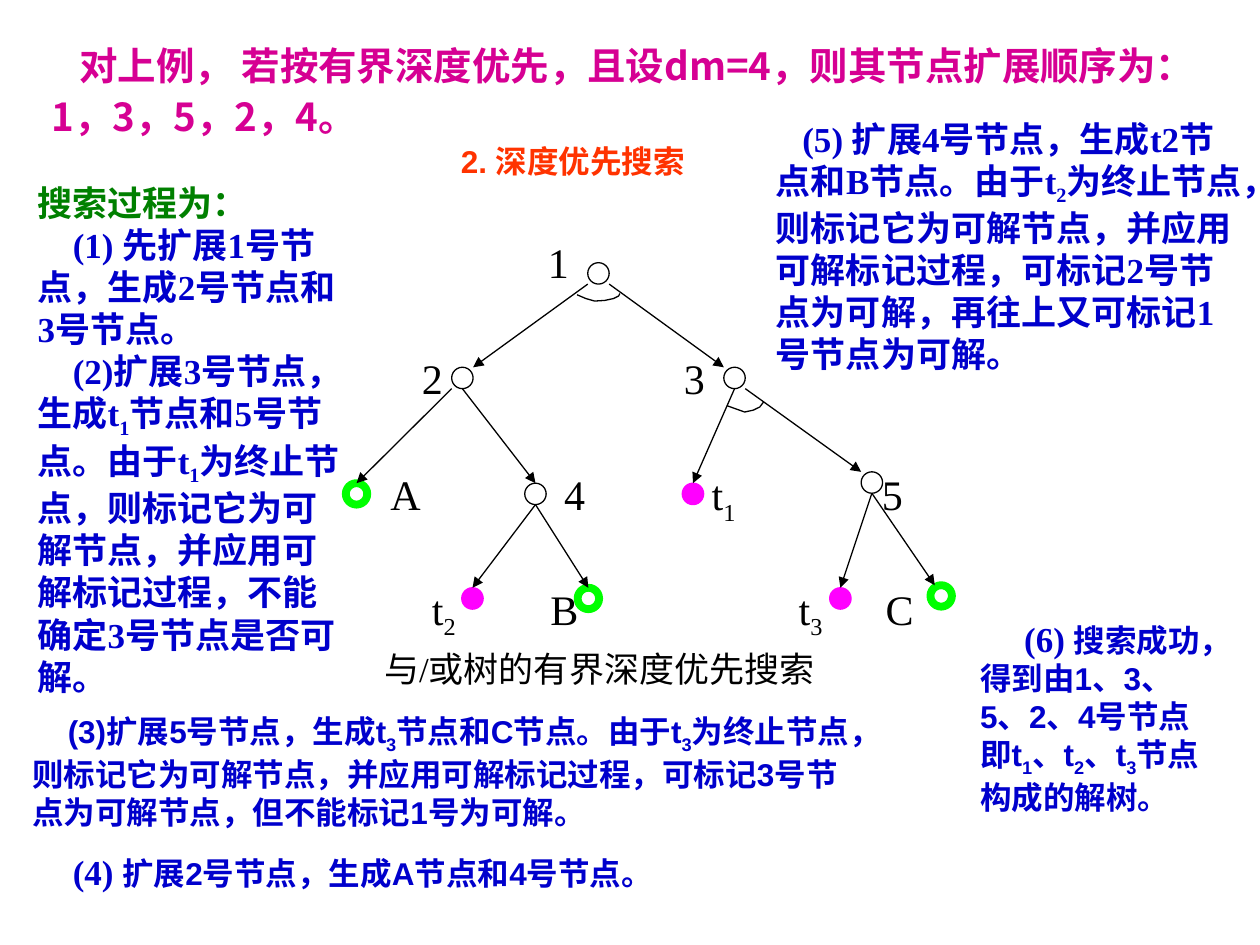
from lxml import etree
from pptx import Presentation
from pptx.dml.color import RGBColor
from pptx.enum import shapes, text
from pptx.oxml.ns import qn
from pptx.util import Inches, Pt

COLORS = {"title": "D60093", "process": "008000", "body": "0000CC", "heading": "FF3300",
          "black": "000000", "green": "00FF00", "magenta": "FF00FF"}
SERIF, SANS, CJK = "Times New Roman", "Arial", "Noto Sans CJK SC"
RADIUS = 0.085

presentation = Presentation()
presentation.slide_width, presentation.slide_height = Inches(10), Inches(7.5)
slide = presentation.slides.add_slide(presentation.slide_layouts[6])


def color(name):
    return RGBColor.from_string(COLORS[name])


def add_text(box, paragraphs, size, font=SERIF, bold=True, indent=0, spacing=None,
             number="", wrap=True):
    """Add (wording, colour) paragraphs; "_" lowers the next character.

    number is a lead-in set in 20 point serif.
    """
    shape = slide.shapes.add_textbox(*map(Inches, box))
    frame = shape.text_frame
    frame.word_wrap = wrap
    frame.auto_size = text.MSO_AUTO_SIZE.NONE
    for index, (wording, color_name) in enumerate(paragraphs):
        paragraph = frame.add_paragraph() if index else frame.paragraphs[0]
        # A heading that is followed by other paragraphs stays flush left
        if indent and (index or len(paragraphs) == 1):
            paragraph._p.get_or_add_pPr().set("indent", str(Inches(indent)))
        if spacing:
            paragraph.line_spacing = spacing
        paragraph.font.name, paragraph.font.size = font, Pt(size)
        paragraph.font.bold = bold
        paragraph.font.color.rgb = color(color_name)
        if number:
            run = paragraph.add_run()
            run.text = number
            run.font.name, run.font.size = SERIF, Pt(20)
        first, *lowered = wording.split("_")
        paragraph.add_run().text = first
        for part in lowered:
            run = paragraph.add_run()
            run.text = part[0]
            run._r.get_or_add_rPr().set("baseline", "-25000")
            if part[1:]:
                paragraph.add_run().text = part[1:]


add_text((0.31, 0.25, 9.49, 0.91),
         [("对上例， 若按有界深度优先，且设dm=4，则其节点扩展顺序为：1，3，5，2，4。", "title")],
         22, CJK, indent=0.22, spacing=1.1)

# Tree nodes: centre, line colour, line width, fill, left and top of the label
open_node, goal, dead_end = ("black", 0.75, None), ("magenta", 0.75, "magenta"), ("green", 4.5, None)
nodes = {
    "1": (4.75, 2.17, open_node, 4.25, 1.83),
    "2": (3.67, 3.0, open_node, 3.25, 2.75),
    "3": (5.83, 3.0, open_node, 5.33, 2.75),
    "4": (4.25, 3.92, open_node, 4.38, 3.67),
    "A": (2.83, 3.92, dead_end, 3.0, 3.67),
    "t_1": (5.5, 3.92, goal, 5.55, 3.67),
    "5": (6.92, 3.83, open_node, 6.9, 3.67),
    "t_3": (6.67, 4.75, goal, 6.24, 4.58),
    "C": (7.47, 4.73, dead_end, 6.93, 4.58),
    "t_2": (3.75, 4.75, goal, 3.33, 4.58),
    "B": (4.67, 4.75, dead_end, 4.27, 4.58),
}
for label, (x, y, (line_color, width, fill), left, top) in nodes.items():
    circle = slide.shapes.add_shape(shapes.MSO_SHAPE.OVAL, Inches(x - RADIUS), Inches(y - RADIUS),
                                    Inches(2 * RADIUS), Inches(2 * RADIUS))
    circle.shadow.inherit = False
    circle.line.color.rgb = color(line_color)
    circle.line.width = Pt(width)
    if fill:
        circle.fill.solid()
        circle.fill.fore_color.rgb = color(fill)
    else:
        circle.fill.background()
    add_text((left, top, 0.6, 0.5), [(label, "black")], 24, bold=False)

# Edges: parent, child, and the sideways shift of each end in radii
edges = [("1", "2", -1, 1), ("1", "3", 1, -1), ("2", "A", -1, 0), ("2", "4", 0, 0),
         ("4", "t_2", 0, 0), ("4", "B", 0, 0), ("3", "t_1", 0, 0), ("3", "5", 1, -1),
         ("5", "t_3", 0, 0), ("5", "C", 0, -0.6)]
for parent, child, start, end in edges:
    (x1, y1), (x2, y2) = nodes[parent][:2], nodes[child][:2]
    arrow = slide.shapes.add_connector(
        shapes.MSO_CONNECTOR.STRAIGHT,
        Inches(x1 + start * RADIUS), Inches(y1 + RADIUS),
        Inches(x2 + end * RADIUS), Inches(y2 - RADIUS))
    arrow.line.color.rgb = color("black")
    arrow.line.width = Pt(0.75)
    etree.SubElement(arrow.line._get_or_add_ln(), qn("a:tailEnd"), type="triangle")
    etree.SubElement(arrow._element.spPr, qn("a:effectLst"))

# Arcs that mark the "and" branches
and_arcs = [
    [(4.58, 2.34), (4.65, 2.37), (4.72, 2.39), (4.8, 2.385), (4.87, 2.37), (4.91, 2.35), (4.92, 2.33)],
    [(5.77, 3.22), (5.84, 3.245), (5.91, 3.27), (5.98, 3.255), (6.03, 3.23), (6.06, 3.19)],
]
for points in and_arcs:
    start, *rest = [(Inches(x), Inches(y)) for x, y in points]
    builder = slide.shapes.build_freeform(*start)
    builder.add_line_segments(rest, close=False)
    arc = builder.convert_to_shape()
    arc.shadow.inherit = False
    arc.fill.background()
    arc.line.color.rgb = color("black")
    arc.line.width = Pt(0.75)

add_text((2.95, 5.09, 4.13, 0.44), [("与/或树的有界深度优先搜索", "black")], 20, bold=False)
add_text((3.56, 1.08, 2.04, 0.4), [("2. 深度优先搜索", "heading")], 18, SANS, wrap=False)

# Search steps
add_text((0.2, 1.39, 2.6, 4.2), [
    ("搜索过程为：", "process"),
    ("(1) 先扩展1号节点，生成2号节点和3号节点。", "body"),
    ("(2)扩展3号节点，生成t_1节点和5号节点。由于t_1为终止节点，则标记它为可解节点，"
     "并应用可解标记过程，不能确定3号节点是否可解。", "body")], 20, indent=0.28)
add_text((0.16, 5.6, 6.77, 1.04), [
    ("(3)扩展5号节点，生成t_3节点和C节点。由于t_3为终止节点，则标记它为可解节点，"
     "并应用可解标记过程，可标记3号节点为可解节点，但不能标记1号为可解。", "body")],
    18, SANS, indent=0.28)
add_text((0.2, 6.7, 6.26, 0.44), [("扩展2号节点，生成A节点和4号节点。", "body")],
         18, SANS, indent=0.28, number="(4) ")
add_text((6.06, 0.88, 3.94, 2.15), [
    ("(5) 扩展4号节点，生成t2节点和B节点。由于t_2为终止节点，则标记它为可解节点，"
     "并应用可解标记过程，可标记2号节点为可解，再往上又可标记1号节点为可解。", "body")],
    20, indent=0.21)
add_text((7.68, 4.85, 2.01, 1.68),
         [("搜索成功，得到由1、3、5、2、4号节点即t_1、t_2、t_3节点构成的解树。", "body")],
         18, SANS, indent=0.35, number="(6) ")

presentation.save("out.pptx")
